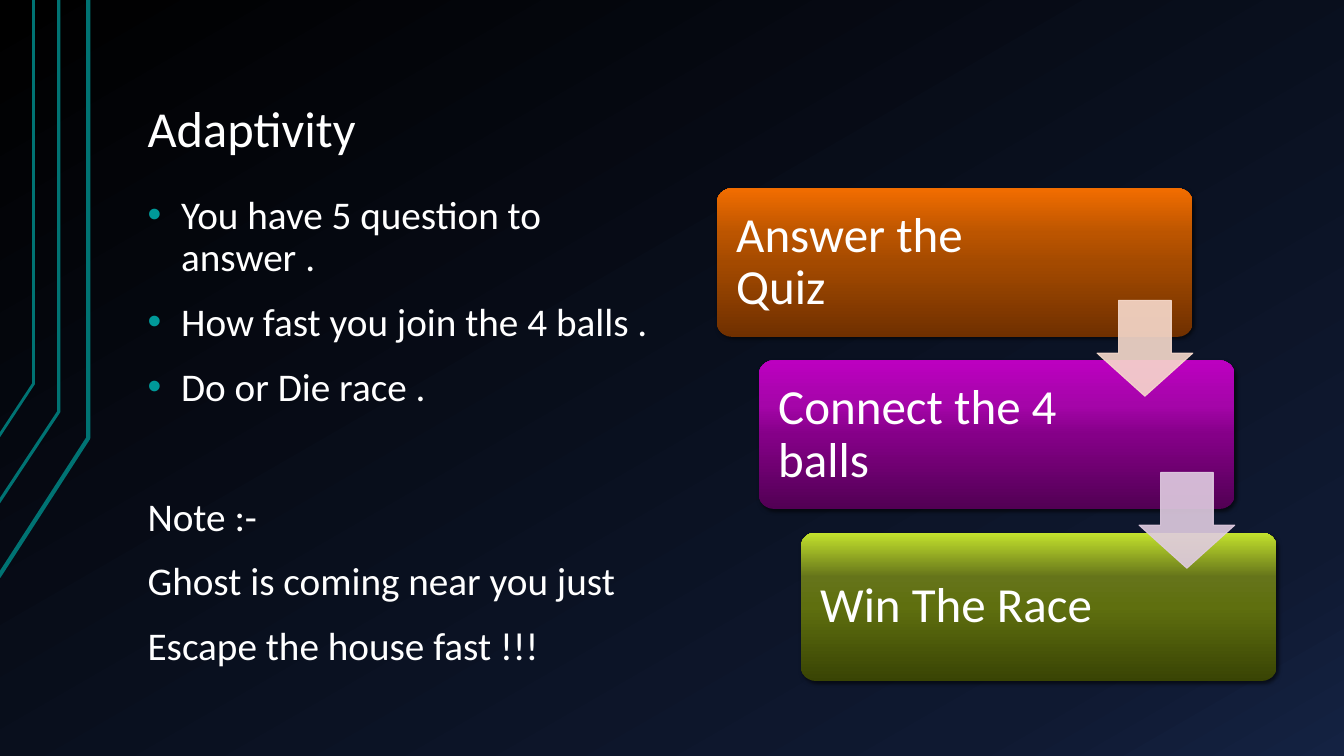
from lxml.etree import SubElement
from pptx import Presentation
from pptx.dml.color import RGBColor
from pptx.enum.shapes import MSO_SHAPE
from pptx.enum.text import MSO_ANCHOR, MSO_AUTO_SIZE, PP_ALIGN
from pptx.oxml.ns import qn
from pptx.util import Pt

FONT = "Calibri"
WHITE = "FFFFFF"
TEAL = "007373"
BULLET_TEAL = "009999"

BACKGROUND = [(0, "000000"), (85, "0F1931"), (100, "142242")]
RAILS = [
    ([(-1, 412), (63.4, 313.2), (63.4, 0)], 3),
    ([(-1.4, 359.3), (41.8, 293.8), (41.8, 0)], 2.25),
    ([(-1, 312.5), (24.5, 274.3), (24.5, 0)], 2),
]
RULES = ["You have 5 question to answer .", "How fast you join the 4 balls .", "Do or Die race ."]
NOTES = ["Note :-", "Ghost is coming near you just", "Escape the house fast !!!"]
STEPS = [
    ("Answer the Quiz", ["703000", "A44A00", "BC5500", "F26D00"]),
    ("Connect the 4 balls", ["520054", "850088", "A505A9", "BC00C0"]),
    ("Win The Race", ["394404", "5F6F0F", "65741A", "C4E32D"]),
]
STEP_STOPS = [0, 50, 70, 100]
ARROW_COLORS = ["F7DACC", "E0CCE1"]

STEP_LEFT, STEP_TOP = 512, 134.6
STEP_WIDTH, STEP_HEIGHT = 340, 106
STEP_SHIFT, STEP_PITCH = 30, 122.9
ARROW_SIZE, ARROW_DROP = 68.4, 80


def rgb(color):
    return RGBColor.from_string(color)


def points(*values):
    return [Pt(value) for value in values]


def add_color(parent, color, alpha=100):
    node = SubElement(parent, qn("a:srgbClr"), val=color)
    if alpha < 100:
        SubElement(node, qn("a:alpha"), val=str(alpha * 1000))


def set_gradient(fill, element, stops, angle):
    """Fill with (percent, color) stops; angle runs counter-clockwise."""
    fill.gradient()
    fill.gradient_angle = angle
    stop_list = element.find(".//" + qn("a:gsLst"))
    stop_list.clear()
    for position, color in stops:
        add_color(SubElement(stop_list, qn("a:gs"), pos=str(position * 1000)), color)


def set_frame(frame, anchor, left, top, right, bottom):
    frame.word_wrap = True
    frame.auto_size = MSO_AUTO_SIZE.NONE
    frame.vertical_anchor = anchor
    frame.margin_left, frame.margin_top, frame.margin_right, frame.margin_bottom = points(
        left, top, right, bottom)


def write(paragraph, text, size, space_before=0):
    paragraph.text = text
    paragraph.alignment = PP_ALIGN.LEFT
    paragraph.line_spacing = 0.9
    paragraph.space_before = Pt(space_before)
    paragraph.font.name = FONT
    paragraph.font.size = Pt(size)
    paragraph.font.color.rgb = rgb(WHITE)


def add_bullet(paragraph):
    properties = paragraph._p.get_or_add_pPr()
    properties.set("marL", str(Pt(24)))
    properties.set("indent", str(-Pt(24)))
    add_color(SubElement(properties, qn("a:buClr")), BULLET_TEAL)
    SubElement(properties, qn("a:buFont"), typeface="Arial")
    SubElement(properties, qn("a:buChar"), char="•")
    # The schema wants the default run properties after the bullet.
    properties.append(properties.find(qn("a:defRPr")))


def add_rail(slide, corners, width):
    builder = slide.shapes.build_freeform(*corners[0], scale=Pt(1))
    builder.add_line_segments(corners[1:], close=False)
    rail = builder.convert_to_shape()
    rail.shadow.inherit = False
    rail.fill.background()
    rail.line.color.rgb = rgb(TEAL)
    rail.line.width = Pt(width)


def add_title(slide, text):
    title = slide.shapes.title
    title.left, title.top, title.width, title.height = points(96, 21.6, 816, 96.5)
    set_frame(title.text_frame, MSO_ANCHOR.BOTTOM, 9.4, 5, 9.4, 5)
    write(title.text_frame.paragraphs[0], text, 36)


def add_body(slide):
    frame = slide.shapes.add_textbox(*points(96, 134.6, 399.6, 391)).text_frame
    set_frame(frame, MSO_ANCHOR.TOP, 9.4, 5, 25, 5)
    for index, text in enumerate(RULES + NOTES):
        paragraph = frame.add_paragraph() if index else frame.paragraphs[0]
        write(paragraph, text, 28, 62.7 if text == NOTES[0] else 16)
        if text in RULES:
            add_bullet(paragraph)


def add_step(slide, index, text, colors):
    step = slide.shapes.add_shape(MSO_SHAPE.ROUNDED_RECTANGLE, *points(
        STEP_LEFT + index * STEP_SHIFT, STEP_TOP + index * STEP_PITCH, STEP_WIDTH, STEP_HEIGHT))
    step.adjustments[0] = 0.1
    set_gradient(step.fill, step._element, zip(STEP_STOPS, colors), 90)
    step.line.fill.background()
    step.shadow.inherit = False
    effects = step._element.spPr.find(qn("a:effectLst"))
    shadow = SubElement(effects, qn("a:outerShdw"), blurRad=str(Pt(3)), dist=str(Pt(2)),
                        dir=str(45 * 60000), rotWithShape="0")
    add_color(shadow, "000000", 60)
    set_frame(step.text_frame, MSO_ANCHOR.MIDDLE, 10.8, 10.8, 114, 10.8)
    write(step.text_frame.paragraphs[0], text, 35)


def add_arrow(slide, index, color):
    """Arrow from one step to the next, flush with the right side of the first."""
    arrow = slide.shapes.add_shape(MSO_SHAPE.DOWN_ARROW, *points(
        STEP_LEFT + STEP_WIDTH - ARROW_SIZE + index * STEP_SHIFT,
        STEP_TOP + ARROW_DROP + index * STEP_PITCH, ARROW_SIZE, ARROW_SIZE))
    arrow.adjustments[0], arrow.adjustments[1] = 0.55, 0.45
    arrow.shadow.inherit = False
    arrow.line.width = Pt(0.75)
    for fill in (arrow.fill, arrow.line.fill):
        fill.solid()
        fill.fore_color.rgb = rgb(color)
    for node in arrow._element.spPr.iter(qn("a:srgbClr")):
        SubElement(node, qn("a:alpha"), val="90000")


def main():
    presentation = Presentation()
    presentation.slide_width, presentation.slide_height = points(960, 540)
    slide = presentation.slides.add_slide(presentation.slide_layouts[5])
    set_gradient(slide.background.fill, slide._element, BACKGROUND, 300)
    for corners, width in RAILS:
        add_rail(slide, corners, width)
    add_title(slide, "Adaptivity")
    add_body(slide)
    for index, (text, colors) in enumerate(STEPS):
        add_step(slide, index, text, colors)
    for index, color in enumerate(ARROW_COLORS):
        add_arrow(slide, index, color)
    presentation.save("out.pptx")


if __name__ == "__main__":
    main()
